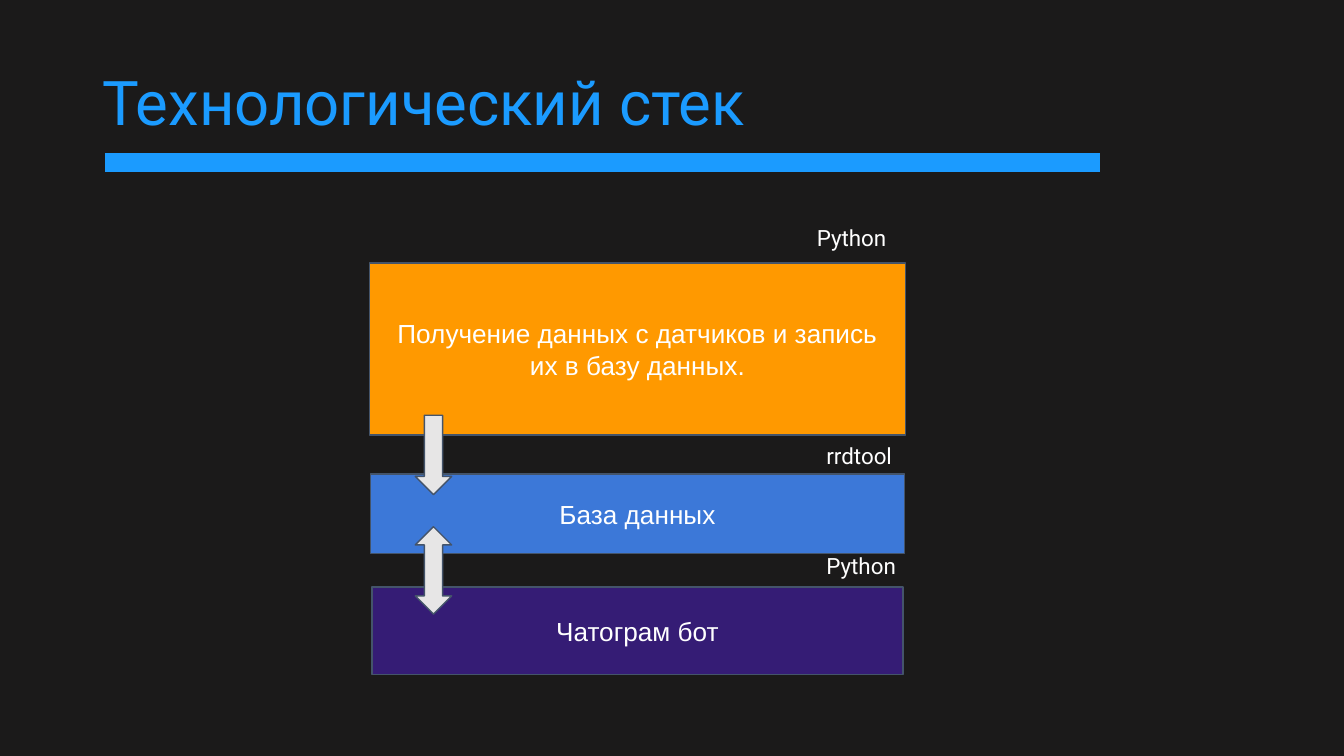
"""Builds the technology stack slide."""
from lxml import etree
from pptx import Presentation
from pptx.dml.color import RGBColor
from pptx.enum.shapes import MSO_CONNECTOR, MSO_SHAPE
from pptx.enum.text import MSO_ANCHOR, PP_ALIGN
from pptx.oxml.ns import qn
from pptx.util import Pt

RECTANGLE = MSO_SHAPE.RECTANGLE
DOWN_ARROW = MSO_SHAPE.DOWN_ARROW
UP_DOWN_ARROW = MSO_SHAPE.UP_DOWN_ARROW
STRAIGHT = MSO_CONNECTOR.STRAIGHT
LEFT, CENTER = PP_ALIGN.LEFT, PP_ALIGN.CENTER
TOP, MIDDLE = MSO_ANCHOR.TOP, MSO_ANCHOR.MIDDLE

COLORS = {
    "background": "1B1A1A",
    "accent": "1B9BFF",
    "sensors": "FF9900",
    "database": "3C78D8",
    "bot": "351C75",
    "arrow": "E7E6E6",
    "outline": "44546A",
    "text": "FFFFFF",
}
TITLE_FONT = {"name": "Roboto", "size": Pt(33), "bold": False}
LABEL_FONT = {"name": "Roboto", "size": Pt(12)}
LAYER_FONT = {"name": "Arial", "size": Pt(14)}
LAYER_CENTER = 341.5
ARROW_LEFT, ARROW_WIDTH = 222.5, 19.5

LAYERS = [
    ("Получение данных с датчиков и запись их в базу данных.", "sensors", 141, 287.3, 92),
    ("База данных", "database", 254, 286, 42.5),
    ("Чатограм бот", "bot", 314.5, 284.4, 46.8),
]
LABELS = [
    ("Python", 430.5, 113, 88, 28.8, 1),
    ("rrdtool", 435.6, 227.5, 116.6, 42.5, 1.15),
    ("Python", 435.6, 288.7, 88, 28.8, 1),
]
ARROWS = [(DOWN_ARROW, 222.5, 42.5), (UP_DOWN_ARROW, 282.2, 46.8)]


def color(name):
    """Return the named colour."""
    return RGBColor.from_string(COLORS[name])


def write_text(shape, text, font, color_name="text", align=LEFT, anchor=TOP,
               margins=(7.2, 7.2), spacing=1):
    """Write one formatted paragraph into a shape."""
    frame = shape.text_frame
    horizontal, vertical = map(Pt, margins)
    frame_format = {
        "word_wrap": True, "vertical_anchor": anchor,
        "margin_left": horizontal, "margin_right": horizontal,
        "margin_top": vertical, "margin_bottom": vertical,
    }
    for name, value in frame_format.items():
        setattr(frame, name, value)
    paragraph = frame.paragraphs[0]
    paragraph.alignment = align
    paragraph.line_spacing = spacing
    run = paragraph.add_run()
    run.text = text
    for name, value in font.items():
        setattr(run.font, name, value)
    run.font.color.rgb = color(color_name)


def add_title(slide, text):
    """Place the title and the thick rule under it."""
    title = slide.shapes.title
    place = {"left": 49.7, "top": 26, "width": 540, "height": 61}
    for name, value in place.items():
        setattr(title, name, Pt(value))
    write_text(title, text, TITLE_FONT, "accent", LEFT, MIDDLE, (5, 3), 0.9)
    rule = slide.shapes.add_connector(STRAIGHT, Pt(56.2), Pt(87.2), Pt(589.5), Pt(87.2))
    rule.line.color.rgb = color("accent")
    rule.line.width = Pt(10)
    etree.SubElement(rule._element.spPr, qn("a:effectLst"))


def add_outlined_shape(slide, kind, fill, left, top, width, height):
    """Add a filled preset shape with a thin outline."""
    shape = slide.shapes.add_shape(kind, Pt(left), Pt(top), Pt(width), Pt(height))
    shape.shadow.inherit = False
    shape.fill.solid()
    shape.fill.fore_color.rgb = color(fill)
    shape.line.color.rgb = color("outline")
    shape.line.width = Pt(0.75)
    return shape


def add_layer(slide, text, fill, top, width, height):
    """Add a stack layer centred on the common axis."""
    left = LAYER_CENTER - width / 2
    layer = add_outlined_shape(slide, RECTANGLE, fill, left, top, width, height)
    write_text(layer, text, LAYER_FONT, align=CENTER, anchor=MIDDLE)


def add_label(slide, text, left, top, width, height, spacing):
    """Add the label naming a layer's technology."""
    label = slide.shapes.add_textbox(Pt(left), Pt(top), Pt(width), Pt(height))
    write_text(label, text, LABEL_FONT, spacing=spacing)


def main():
    """Build and save the slide."""
    presentation = Presentation()
    presentation.slide_width, presentation.slide_height = Pt(720), Pt(405)
    slide = presentation.slides.add_slide(presentation.slide_layouts[5])
    slide.background.fill.solid()
    slide.background.fill.fore_color.rgb = color("background")
    add_title(slide, "Технологический стек")
    for layer in LAYERS:
        add_layer(slide, *layer)
    for label in LABELS:
        add_label(slide, *label)
    for kind, top, height in ARROWS:
        add_outlined_shape(slide, kind, "arrow", ARROW_LEFT, top, ARROW_WIDTH, height)
    presentation.save("out.pptx")


if __name__ == "__main__":
    main()
